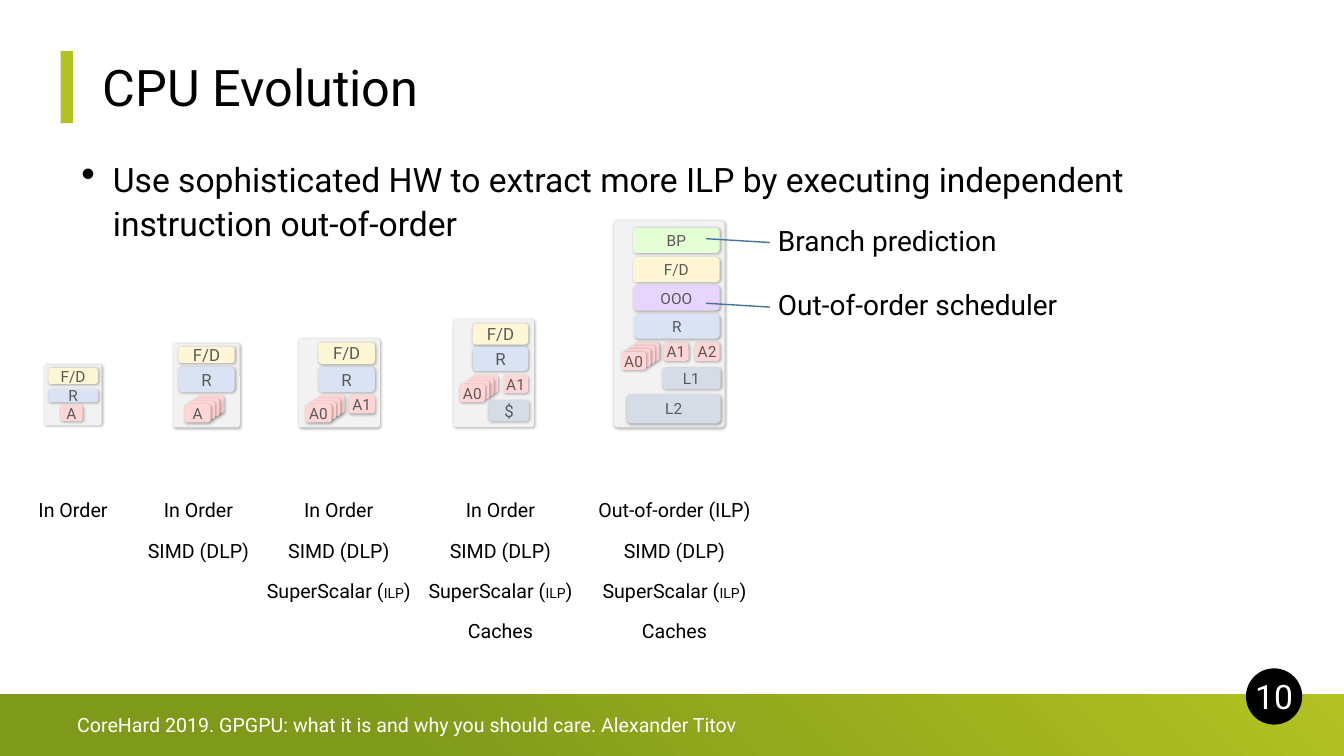
import pptx
import pptx.util
import pptx.dml.color
import pptx.enum.shapes
import pptx.enum.text
import pptx.oxml
import pptx.oxml.ns
from dataclasses import dataclass

Pt = pptx.util.Pt
SHAPE = pptx.enum.shapes.MSO_SHAPE
ALIGN = pptx.enum.text.PP_ALIGN
ANCHOR = pptx.enum.text.MSO_ANCHOR


@dataclass(frozen=True)
class Theme:
    font: str = "Roboto"
    black: str = "000000"
    white: str = "FFFFFF"
    olive: str = "7F991A"
    lime: str = "B2C222"
    chip: str = "F2F2F2"
    block_text: str = "595959"
    pointer: str = "43739E"
    title: int = 36
    body: int = 24
    callout: int = 20
    label: int = 14
    small: int = 10


THEME = Theme()

# Content: boxes are (left, top, width, height) in points
TITLE = "CPU Evolution"
POINT = "Use sophisticated HW to extract more ILP by executing independent instruction out-of-order"
FOOTER = "CoreHard 2019. GPGPU: what it is and why you should care. Alexander Titov"
PAGE = "10"

BLOCK_FILLS = {
    "A": "FFD5D5", "A0": "FFD5D5", "A1": "FFD5D5", "A2": "FFD5D5",
    "R": "DAE3F3", "F/D": "FFF6D5", "OOO": "E5D5FF", "BP": "E5FFD5",
    "$": "D6DCE5", "L1": "D6DCE5", "L2": "D6DCE5",
}

# Each block: label, box, type size, number of stacked copies
CHIPS = [
    ((31.7, 260.6, 41, 43.2), [
        ("F/D", (34.6, 262.8, 35.3, 11.5), 11, 1),
        ("R", (34.6, 277.9, 35.3, 9.4), 11, 1),
        ("A", (43.2, 289.4, 15.8, 11.5), 11, 1)]),
    ((123.8, 245.5, 47.5, 59.8), [
        ("F/D", (127.4, 247.7, 40.3, 11.5), 12, 1),
        ("R", (127.4, 262.1, 40.3, 18), 12, 1),
        ("A", (141.1, 282.2, 18.7, 13), 11, 4)]),
    ((213.1, 241.9, 58.3, 63.4), [
        ("F/D", (227.5, 244.8, 40.3, 15.1), 12, 1),
        ("R", (227.5, 262.1, 40.3, 18), 12, 1),
        ("A0", (227.5, 282.2, 18.7, 13), 11, 4),
        ("A1", (249.1, 282.2, 18.7, 13), 11, 1)]),
    ((324, 228.2, 57.6, 77), [
        ("F/D", (337.7, 231.1, 39.6, 15.1), 12, 1),
        ("R", (337.7, 247.7, 39.6, 17.3), 12, 1),
        ("A0", (337.7, 267.8, 18, 13), 11, 4),
        ("A1", (359.3, 267.8, 18, 13), 11, 1),
        ("$", (349.2, 285.8, 28.8, 15.1), 12, 1)]),
    ((438.5, 157.7, 79.2, 147.6), [
        ("BP", (452.2, 162.7, 61.9, 18), 11, 1),
        ("F/D", (452.2, 183.6, 61.9, 18), 11, 1),
        ("OOO", (452.2, 203.8, 61.9, 18), 11, 1),
        ("R", (452.9, 224.6, 61.2, 17.3), 11, 1),
        ("A0", (452.9, 244.8, 18, 13), 11, 4),
        ("A1", (473.8, 244.8, 18, 13), 11, 1),
        ("A2", (496.1, 244.8, 18, 13), 11, 1),
        ("L1", (473, 262.8, 41.8, 15.1), 11, 1),
        ("L2", (447.8, 281.5, 67, 20.9), 11, 1)]),
]
STACK_STEP = (-3.1, 2.16)

# Each feature: its text runs as (text, size), and its box width
IN_ORDER = ([("In Order", THEME.label)], 64)
OUT_OF_ORDER = ([("Out-of-order (ILP)", THEME.label)], 124.6)
SIMD = ([("SIMD (DLP)", THEME.label)], 87.1)
SUPERSCALAR = ([("SuperScalar (", THEME.label), ("ILP", THEME.small), (")", THEME.label)], 119)
CACHES = ([("Caches", THEME.label)], 61.2)
FEATURES = [
    (52.2, [IN_ORDER]),
    (141.8, [IN_ORDER, SIMD]),
    (242, [IN_ORDER, SIMD, SUPERSCALAR]),
    (357.5, [IN_ORDER, SIMD, SUPERSCALAR, CACHES]),
    (481.8, [OUT_OF_ORDER, SIMD, SUPERSCALAR, CACHES]),
]
FEATURE_TOP, FEATURE_STEP, FEATURE_HEIGHT = 354.2, 28.7, 22.3

CALLOUTS = [("Branch prediction", 157.7), ("Out-of-order scheduler", 203.8)]
CALLOUT_POINTER = (0.567, 0.006, 0.467, -0.199)


def rgb(colour):
    return pptx.dml.color.RGBColor.from_string(colour)


def add_panel(shapes, kind, box, fill=None):
    panel = shapes.add_shape(kind, *map(Pt, box))
    panel.shadow.inherit = False
    panel.line.fill.background()
    if fill:
        panel.fill.solid()
        panel.fill.fore_color.rgb = rgb(fill)
    else:
        panel.fill.background()
    return panel


def write(holder, runs, colour, align=ALIGN.LEFT, anchor=ANCHOR.MIDDLE, spacing=None, inset=None):
    """Fill a shape with one paragraph of (text, size) runs."""
    frame = holder.text_frame
    frame.word_wrap = True
    frame.vertical_anchor = anchor
    if inset is not None:
        frame.margin_left = frame.margin_right = Pt(inset)
        frame.margin_top = frame.margin_bottom = Pt(inset)
    paragraph = frame.paragraphs[0]
    paragraph.alignment = align
    if spacing:
        paragraph.line_spacing = spacing
    paragraph.font.name = THEME.font
    paragraph.font.color.rgb = rgb(colour)
    for text, size in runs:
        run = paragraph.add_run()
        run.text = text
        if len(runs) > 1:
            run.font.size = Pt(size)
        else:
            paragraph.font.size = Pt(size)
    return paragraph


def add_raised(shapes, box, fill, rounding):
    """Rounded block with a soft drop shadow."""
    block = add_panel(shapes, SHAPE.ROUNDED_RECTANGLE, box, fill)
    block.adjustments[0] = rounding
    effects = block._element.spPr.find(pptx.oxml.ns.qn("a:effectLst"))
    effects.append(pptx.oxml.parse_xml(
        f'<a:outerShdw {pptx.oxml.ns.nsdecls("a")} blurRad="25400" dist="12700" dir="2700000" '
        'algn="tl" rotWithShape="0"><a:srgbClr val="000000"><a:alpha val="30000"/>'
        '</a:srgbClr></a:outerShdw>'))
    return block


def add_chip(slide, panel_box, blocks):
    chip = slide.shapes.add_group_shape().shapes
    add_raised(chip, panel_box, THEME.chip, 0.04)
    for label, (left, top, width, height), size, copies in blocks:
        for layer in range(copies):
            box = (left + layer * STACK_STEP[0], top + layer * STACK_STEP[1], width, height)
            block = add_raised(chip, box, BLOCK_FILLS[label], 0.168)
        write(block, [(label, size)], THEME.block_text, ALIGN.CENTER, inset=0)


def main():
    deck = pptx.Presentation()
    deck.slide_width, deck.slide_height = Pt(960), Pt(540)
    slide = deck.slides.add_slide(deck.slide_layouts[5])
    shapes = slide.shapes

    # Footer band, title accent and page number
    band = add_panel(shapes, SHAPE.RECTANGLE, (0, 496, 960, 44))
    band.fill.gradient()
    band.fill.gradient_angle = 45
    for stop, position, colour in zip(band.fill.gradient_stops, (0.28, 1), (THEME.olive, THEME.lime)):
        stop.position = position
        stop.color.rgb = rgb(colour)
    add_panel(shapes, SHAPE.RECTANGLE, (43.4, 36.5, 8.8, 51.4), THEME.lime)
    page = add_panel(shapes, SHAPE.OVAL, (890, 477.4, 40.2, 40.2), THEME.black)
    write(page, [(PAGE, THEME.body)], THEME.white, ALIGN.CENTER, inset=0)
    footer = shapes.add_textbox(*map(Pt, (48, 500.4, 792, 34.6)))
    write(footer, [(FOOTER, THEME.label)], THEME.white)

    # Title
    title = shapes.title
    title.left, title.top, title.width, title.height = map(Pt, (66.2, 0, 828, 87.8))
    write(title, [(TITLE, THEME.title)], THEME.black, anchor=ANCHOR.BOTTOM, spacing=0.9)

    # Main point
    point = shapes.add_textbox(*map(Pt, (51.1, 106.6, 856.8, 71.3)))
    properties = point.text_frame.paragraphs[0]._p.get_or_add_pPr()
    properties.set("marL", str(Pt(22.5)))
    properties.set("indent", str(Pt(-22.5)))
    for tag, value in (("buSzPct", 'val="120000"'), ("buChar", 'char="•"')):
        properties.append(pptx.oxml.parse_xml(f'<a:{tag} {pptx.oxml.ns.nsdecls("a")} {value}/>'))
    write(point, [(POINT, THEME.body)], THEME.black, spacing=1.1)

    # Processor generations
    for panel_box, blocks in CHIPS:
        add_chip(slide, panel_box, blocks)

    # Features under each generation
    for centre, features in FEATURES:
        for row, (runs, width) in enumerate(features):
            box = (centre - width / 2, FEATURE_TOP + row * FEATURE_STEP, width, FEATURE_HEIGHT)
            feature = shapes.add_textbox(*map(Pt, box))
            write(feature, runs, THEME.black, ALIGN.CENTER, spacing=0.9)
            feature.text_frame.word_wrap = False

    # Callouts to the new units
    for text, top in CALLOUTS:
        callout = add_panel(shapes, SHAPE.LINE_CALLOUT_1_NO_BORDER, (548.6, top, 222.5, 27.4))
        for index, value in enumerate(CALLOUT_POINTER):
            callout.adjustments[index] = value
        callout.line.color.rgb = rgb(THEME.pointer)
        callout.line.width = Pt(1)
        write(callout, [(text, THEME.callout)], THEME.black)

    deck.save("out.pptx")


if __name__ == "__main__":
    main()
